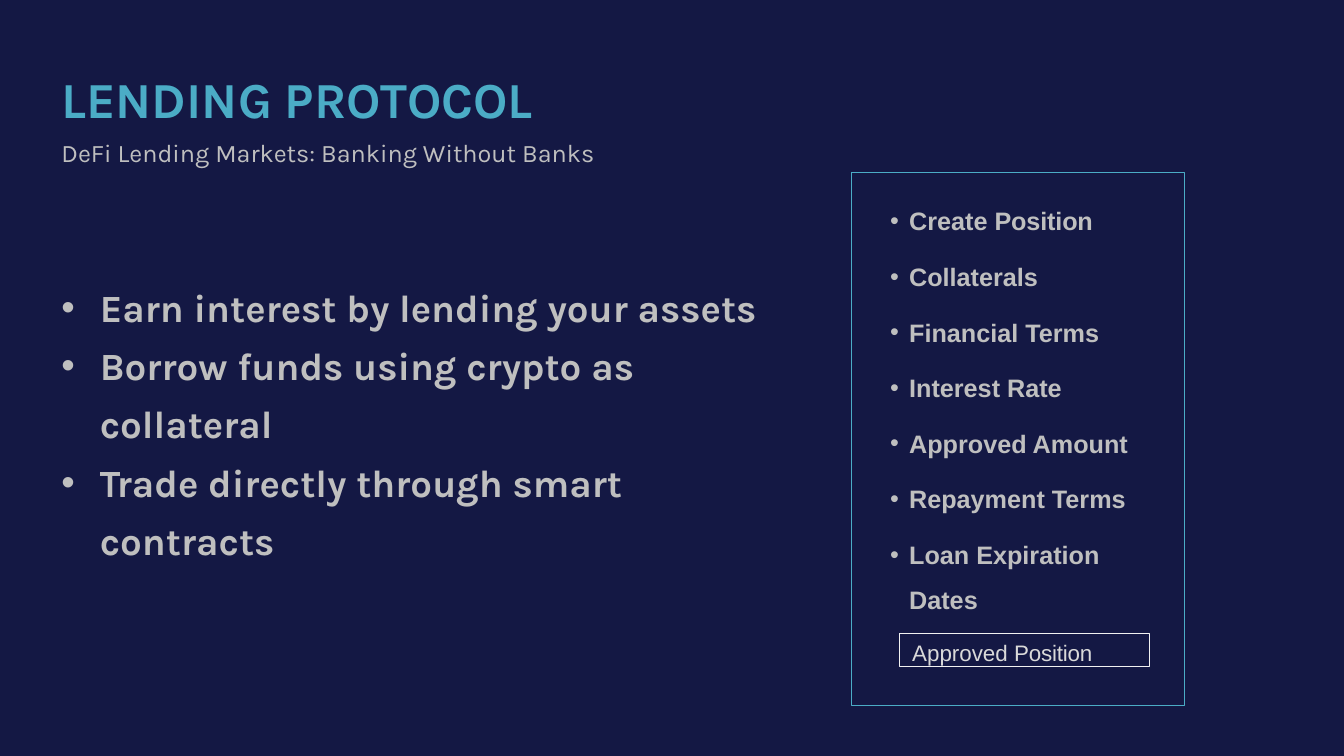
import pptx
import pptx.dml.color
import pptx.enum.shapes
import pptx.enum.text
import pptx.oxml.ns
import pptx.util
from lxml import etree

Pt = pptx.util.Pt
RGBColor = pptx.dml.color.RGBColor
NAVY = RGBColor(0x00, 0x05, 0x35)
TEAL = RGBColor(0x4B, 0xAC, 0xC6)
GREY = RGBColor(0xBF, 0xBF, 0xBF)
PALE = RGBColor(0xD9, 0xD9, 0xD9)
WHITE = RGBColor(0xF1, 0xF1, 0xF1)

BENEFITS = [
    ["Earn interest by lending your assets"],
    ["Borrow funds using crypto as collateral"],
    ["Trade directly through smart contracts"],
]
POSITION_STEPS = [
    ["Create ", "Position"],
    ["Collaterals"],
    ["Financial Terms"],
    ["Interest Rate"],
    ["Approved Amount"],
    ["Repayment Terms"],
    ["Loan Expiration Dates"],
]


def add_child(parent, tag, **attributes):
    """Append a drawing element with the given attributes."""
    return etree.SubElement(parent, pptx.oxml.ns.qn(tag), attributes)


def add_rectangle(slide, box, line=None, width=1):
    """Add an unfilled rectangle, outlined if a line colour is given."""
    rectangle = slide.shapes.add_shape(
        pptx.enum.shapes.MSO_SHAPE.RECTANGLE, *map(Pt, box))
    rectangle.shadow.inherit = False
    rectangle.fill.background()
    if line is None:
        rectangle.line.fill.background()
    else:
        rectangle.line.color.rgb = line
        rectangle.line.width = Pt(width)
    return rectangle


def add_backdrop(slide, size):
    """Cover the slide with slightly transparent navy."""
    backdrop = add_rectangle(slide, (0, 0, *size))
    backdrop.fill.solid()
    backdrop.fill.fore_color.rgb = NAVY
    colour = backdrop.fill._xPr.find(".//" + pptx.oxml.ns.qn("a:srgbClr"))
    add_child(colour, "a:alpha", val="92000")


def prepare_frame(frame, inset_top):
    """Make a frame wrap, start at the top and grow with its text."""
    frame.margin_left = frame.margin_right = frame.margin_bottom = 0
    frame.margin_top = Pt(inset_top)
    frame.word_wrap = True
    frame.vertical_anchor = pptx.enum.text.MSO_ANCHOR.TOP
    frame.auto_size = pptx.enum.text.MSO_AUTO_SIZE.SHAPE_TO_FIT_TEXT
    return frame


def add_text_frame(slide, box, inset_top):
    """Add a text box and return its frame."""
    return prepare_frame(
        slide.shapes.add_textbox(*map(Pt, box)).text_frame, inset_top)


def write_paragraph(paragraph, words, font, size, colour, bold=False,
                    before=0, margin=0, hanging=0):
    """Write one paragraph, tightening every run after the first."""
    paragraph.alignment = pptx.enum.text.PP_ALIGN.LEFT
    paragraph.space_before = Pt(before)
    properties = paragraph._p.get_or_add_pPr()
    properties.set("marL", str(Pt(margin)))
    properties.set("indent", str(-Pt(hanging)))
    for index, word in enumerate(words):
        run = paragraph.add_run()
        run.text = word
        run.font.name = font
        run.font.size = Pt(size)
        run.font.bold = bold
        run.font.color.rgb = colour
        if index:
            run._r.get_or_add_rPr().set("spc", "-10")


def write_bullets(frame, items, spacing, **style):
    """Write the items as a bulleted list."""
    for index, words in enumerate(items):
        paragraph = frame.add_paragraph() if index else frame.paragraphs[0]
        paragraph.line_spacing = spacing
        write_paragraph(paragraph, words, colour=GREY, bold=True, **style)
        properties = paragraph._p.get_or_add_pPr()
        add_child(properties, "a:buFont", typeface="Arial")
        add_child(properties, "a:buChar", char="•")


def main():
    """Build the lending protocol slide."""
    presentation = pptx.Presentation()
    presentation.slide_width, presentation.slide_height = Pt(960), Pt(540)
    slide = presentation.slides.add_slide(presentation.slide_layouts[6])
    add_backdrop(slide, (960, 540))

    heading = add_text_frame(slide, (43.2, 35.3, 384.5, 85.7), 13.7)
    write_paragraph(heading.paragraphs[0], ["LENDING ", "PROTOCOL"], "Karla",
                    36, TEAL, bold=True, before=13.3, margin=0.7)
    write_paragraph(heading.add_paragraph(),
                    ["DeFi Lending Markets: Banking Without Banks"], "Karla",
                    18, GREY, before=6.2, margin=0.7)

    benefits = add_text_frame(slide, (43.2, 193.7, 508.3, 206.6), 0.7)
    write_bullets(benefits, BENEFITS, 1.25, font="Karla", size=27.5,
                  before=0.7, margin=28.1, hanging=27.4)

    steps = add_text_frame(slide, (634.3, 128.9, 185.8, 307.4), 7.2)
    write_bullets(steps, POSITION_STEPS, 1.5, font="Arial", size=18,
                  before=7.3, margin=15.1, hanging=13.7)

    approval = add_rectangle(slide, (642.2, 452.2, 178.6, 23.8), WHITE, 0.75)
    approval_label = prepare_frame(approval.text_frame, 4.3).paragraphs[0]
    approval_label.space_after = Pt(4)
    write_paragraph(approval_label, ["Approved ", "Position"], "Arial",
                    16, PALE, before=4, margin=9.4)

    add_rectangle(slide, (608.4, 123.1, 237.6, 380.9), TEAL)
    presentation.save("out.pptx")


if __name__ == "__main__":
    main()
